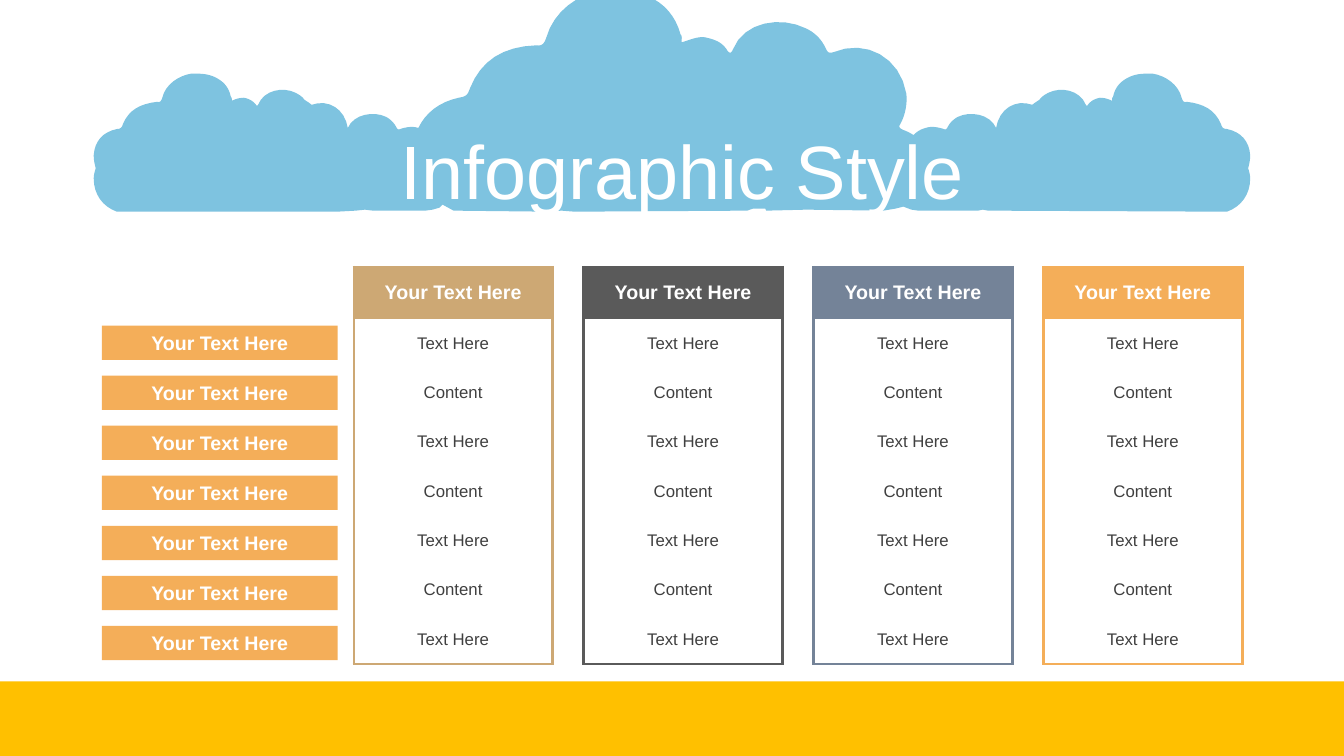
from itertools import cycle, islice

from lxml.etree import SubElement
from pptx import Presentation
from pptx.dml.color import RGBColor
from pptx.enum.shapes import MSO_SHAPE as Shape
from pptx.enum.text import MSO_ANCHOR as Anchor, PP_ALIGN as Align
from pptx.oxml.ns import qn
from pptx.util import Inches, Pt

SLIDE_W, SLIDE_H = 13.33, 7.5
SKY, GROUND, ORANGE = "7EC3E0", "FFC000", "F4AE59"
COLUMN_COLOURS = ["CDA874", "5A5A5A", "748398", ORANGE]
HEADING = "Your Text Here"
ENTRIES = list(islice(cycle(["Text Here", "Content"]), 7))

# Grid of the four comparison columns and the row labels
COLUMN_LEFT, COLUMN_STEP, COLUMN_W = 3.51, 2.28, 1.97
TABLE_TOP, HEAD_H, ROW_H = 2.65, 0.51, 0.49
LABEL_LEFT, LABEL_TOP, LABEL_W, LABEL_H = 1.01, 3.23, 2.34, 0.34
LABEL_STEP = (6.21 - LABEL_TOP) / (len(ENTRIES) - 1)

# Cloud curves: a start, then two handles and an end for each arc
LEFT_WING = [
    (4.15, 1.27), (4.1, 1.25), (4.03, 1.26), (3.97, 1.28),
    (3.95, 1.29), (3.94, 1.28), (3.93, 1.26),
    (3.91, 1.22), (3.87, 1.18), (3.83, 1.16),
    (3.71, 1.1), (3.51, 1.13), (3.45, 1.27),
    (3.42, 1.08), (3.26, 0.98), (3.09, 1.04),
    (3.07, 1.02), (3.05, 1.01), (3.02, 0.99),
    (3, 0.96), (2.97, 0.94), (2.93, 0.92),
    (2.81, 0.86), (2.62, 0.89), (2.56, 1.04),
    (2.56, 1.04), (2.55, 1.06), (2.54, 1.04),
    (2.51, 1), (2.47, 0.98), (2.42, 0.97),
    (2.38, 0.97), (2.34, 0.98), (2.3, 1),
    (2.3, 0.98), (2.3, 0.97), (2.29, 0.96),
    (2.27, 0.86), (2.21, 0.8), (2.12, 0.76),
    (2.05, 0.73), (1.98, 0.73), (1.9, 0.73),
    (1.77, 0.75), (1.64, 0.84), (1.61, 0.97),
    (1.6, 1), (1.59, 1.02), (1.56, 1.01),
    (1.39, 1.03), (1.28, 1.09), (1.22, 1.23),
    (1.21, 1.27), (1.19, 1.28), (1.16, 1.28),
    (1.02, 1.31), (0.94, 1.4), (0.93, 1.54),
    (0.93, 1.59), (0.94, 1.63), (0.95, 1.67),
    (0.94, 1.7), (0.93, 1.74), (0.93, 1.77),
    (0.93, 1.93), (1.02, 2.05), (1.16, 2.1),
]
CREST = [
    (9.18, 1.27), (9.14, 1.28), (9.1, 1.3), (9.06, 1.34),
    (9.03, 1.32), (8.99, 1.3), (8.96, 1.29),
    (8.92, 1.27), (8.91, 1.26), (8.93, 1.23),
    (8.98, 1.14), (9, 1.03), (8.99, 0.93),
    (8.93, 0.57), (8.59, 0.38), (8.26, 0.52),
    (8.22, 0.53), (8.21, 0.52), (8.19, 0.48),
    (8.15, 0.39), (8.08, 0.32), (7.99, 0.28),
    (7.75, 0.16), (7.38, 0.21), (7.27, 0.49),
    (7.26, 0.51), (7.25, 0.54), (7.22, 0.51),
    (7.17, 0.42), (7.09, 0.39), (6.99, 0.37),
    (6.91, 0.36), (6.84, 0.4), (6.76, 0.42),
    (6.76, 0.39), (6.77, 0.36), (6.75, 0.34),
    (6.7, 0.16), (6.59, 0.03), (6.42, -0.04),
    (6.28, -0.1), (6.14, -0.1), (5.99, -0.09),
    (5.73, -0.07), (5.49, 0.12), (5.42, 0.37),
    (5.4, 0.43), (5.38, 0.46), (5.32, 0.45),
    (4.99, 0.46), (4.77, 0.6), (4.66, 0.88),
    (4.64, 0.95), (4.61, 0.96), (4.55, 0.97),
    (4.36, 1.01), (4.22, 1.12), (4.15, 1.27),
]
UNDERSIDE = [
    (3.34, 2.1), (3.53, 2.09), (3.62, 2.08), (3.7, 2.09), (4.22, 2.09),
    (4.29, 2.08), (4.36, 2.06), (4.39, 2.03), (4.5, 2.09), (5.44, 2.1),
    (5.57, 2.09), (5.7, 2.1), (7.41, 2.09), (7.47, 2.07), (7.59, 2.07),
    (7.6, 2.09), (8, 2.08), (8.76, 2.09), (8.88, 2.07), (8.96, 2.05),
    (9.04, 2.08), (9.11, 2.09), (9.7, 2.09), (9.75, 2.08), (9.8, 2.09),
]


def colour(code):
    return RGBColor.from_string(code)


def write(frame, text, size=14, ink="FFFFFF", bold=False, spacing=None):
    frame.word_wrap = True
    line = frame.paragraphs[0]
    line.alignment = Align.CENTER
    if spacing:
        line.line_spacing = spacing
    run = line.add_run()
    run.text = text
    run.font.name = "Arial"
    run.font.size = Pt(size)
    run.font.bold = bold
    run.font.color.rgb = colour(ink)


def paint(item, fill):
    item.shadow.inherit = False
    item.fill.solid()
    item.fill.fore_color.rgb = colour(fill)
    item.line.fill.background()


def add_block(slide, left, top, width, height, fill):
    block = slide.shapes.add_shape(
        Shape.RECTANGLE, Inches(left), Inches(top), Inches(width), Inches(height))
    paint(block, fill)
    return block


def trace(curve, steps=8):
    """Points along a chain of cubic arcs."""
    points = [curve[0]]
    for i in range(0, len(curve) - 1, 3):
        arc = curve[i:i + 4]
        for t in (n / steps for n in range(1, steps + 1)):
            weights = ((1 - t) ** 3, 3 * t * (1 - t) ** 2, 3 * t * t * (1 - t), t ** 3)
            points.append(tuple(sum(w * p[axis] for w, p in zip(weights, arc))
                                for axis in (0, 1)))
    return points


def add_cloud(slide):
    left_wing = trace(LEFT_WING)
    right_wing = [(SLIDE_W - x, y) for x, y in reversed(left_wing)]
    # The pen keeps whole units only, so the outline is given in EMU
    outline = [(Inches(x), Inches(y))
               for x, y in right_wing + trace(CREST) + left_wing + UNDERSIDE]
    pen = slide.shapes.build_freeform(*outline[0])
    pen.add_line_segments(outline[1:], close=True)
    paint(pen.convert_to_shape(), SKY)


def add_title(slide, text):
    title = slide.shapes.add_textbox(
        Inches(0.44), Inches(1.34), Inches(12.66), Inches(0.79)).text_frame
    title.vertical_anchor = Anchor.MIDDLE
    write(title, text, size=54, spacing=0.9)


def add_label(slide, row):
    label = add_block(slide, LABEL_LEFT, LABEL_TOP + row * LABEL_STEP,
                      LABEL_W, LABEL_H, ORANGE).text_frame
    label.vertical_anchor = Anchor.MIDDLE
    write(label, HEADING, bold=True)


def set_borders(cell, sides, tint):
    props = cell._tc.get_or_add_tcPr()
    for side in "LRTB":
        border = SubElement(props, qn(f"a:ln{side}"), w=str(Pt(2.25)))
        if side in sides:
            fill = SubElement(border, qn("a:solidFill"))
            SubElement(fill, qn("a:srgbClr"), val=tint)
        else:
            SubElement(border, qn("a:noFill"))


def add_column(slide, position, tint):
    last = len(ENTRIES)
    grid = slide.shapes.add_table(
        last + 1, 1, Inches(COLUMN_LEFT + position * COLUMN_STEP), Inches(TABLE_TOP),
        Inches(COLUMN_W), Inches(HEAD_H + last * ROW_H)).table
    grid.first_row = grid.horz_banding = False
    for row, text in enumerate([HEADING] + ENTRIES):
        grid.rows[row].height = Inches(ROW_H if row else HEAD_H)
        cell = grid.cell(row, 0)
        cell.vertical_anchor = Anchor.MIDDLE
        set_borders(cell, {0: "LRT", last: "LRB"}.get(row, "LR"), tint)
        if row:
            cell.fill.background()
            write(cell.text_frame, text, size=12, ink="404040")
        else:
            cell.fill.solid()
            cell.fill.fore_color.rgb = colour(tint)
            write(cell.text_frame, text, bold=True)


def main():
    deck = Presentation()
    deck.slide_width, deck.slide_height = Inches(SLIDE_W), Inches(SLIDE_H)
    slide = deck.slides.add_slide(deck.slide_layouts[6])

    # Scenery and title
    add_cloud(slide)
    add_block(slide, 0, 6.76, SLIDE_W, SLIDE_H - 6.76, GROUND)
    add_title(slide, "Infographic Style")

    # Row labels and comparison columns
    for row in range(len(ENTRIES)):
        add_label(slide, row)
    for position, tint in enumerate(COLUMN_COLOURS):
        add_column(slide, position, tint)

    deck.save("out.pptx")


if __name__ == "__main__":
    main()
